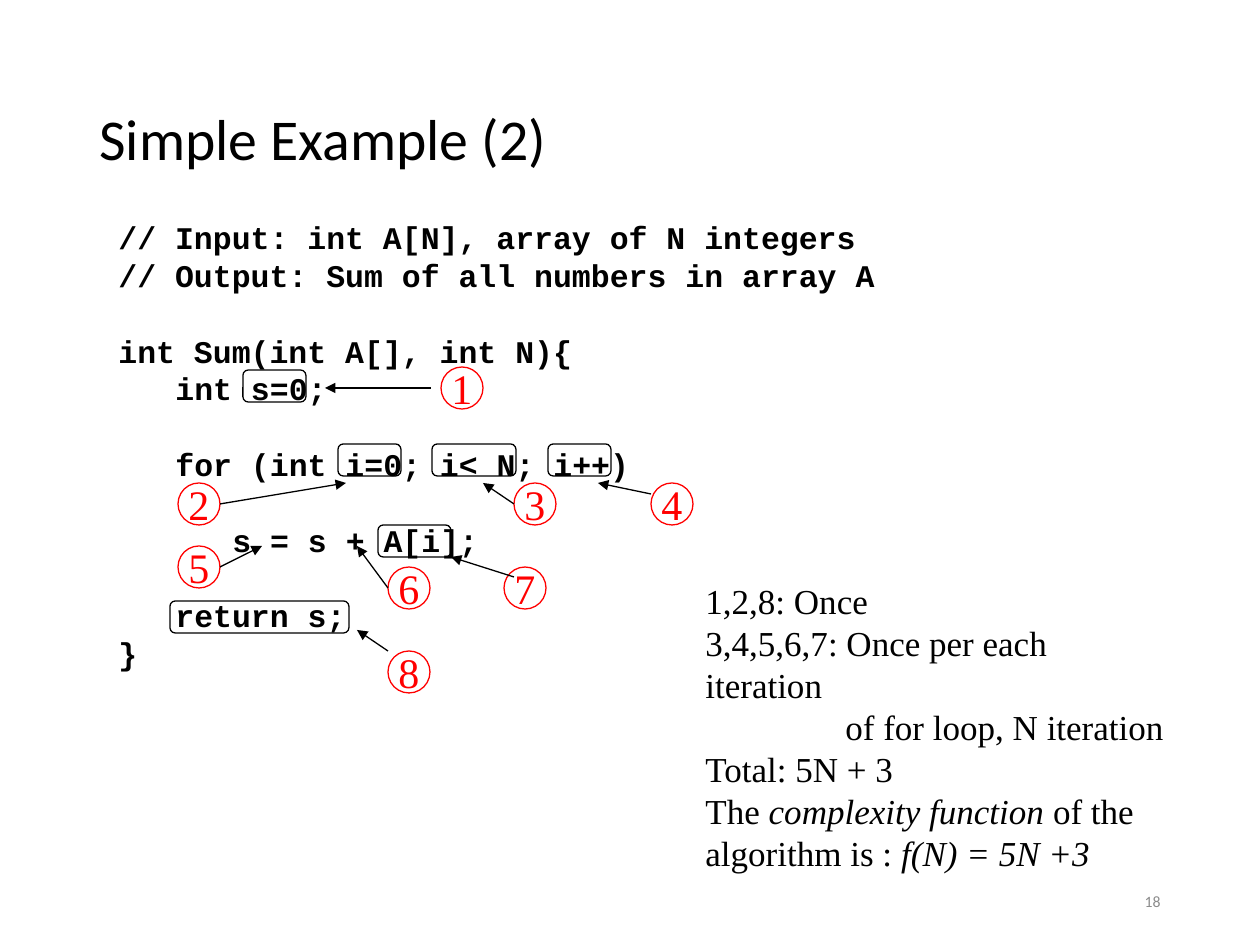
"""Build a slide that counts the basic operations of a summing loop."""

from dataclasses import dataclass

from lxml.etree import SubElement
from pptx import Presentation
from pptx.dml.color import RGBColor
from pptx.enum.shapes import MSO_CONNECTOR, MSO_SHAPE
from pptx.enum.text import MSO_ANCHOR, PP_ALIGN
from pptx.oxml.ns import qn
from pptx.util import Pt

PX = 914400 // 126


@dataclass(frozen=True)
class Style:
    font: str
    size: int
    color: RGBColor
    bold: bool = False


class Theme:
    ink = RGBColor(0, 0, 0)
    accent = RGBColor(255, 0, 0)
    line = Pt(0.75)
    title = Style("Calibri", 33, ink)
    code = Style("Courier New", 18, ink, True)
    notes = Style("Times New Roman", 20, ink)
    badge = Style("Times New Roman", 24, accent)
    page = Style("Calibri", 9, RGBColor(0x8C, 0x8C, 0x8C))
    leading = 1.2


TITLE = "Simple Example (2)"
PAGE = "18"

# (indent in characters, blank lines above, text)
CODE = [
    (0, 0, "// Input: int A[N], array of N integers"),
    (0, 0, "// Output: Sum of all numbers in array A"),
    (0, 1, "int Sum(int A[], int N){"),
    (3, 0, "int s=0;"),
    (3, 1, "for (int i=0; i< N; i++)"),
    (6, 1, "s = s + A[i];"),
    (3, 1, "return s;"),
    (0, 0, "}"),
]
CODE_CHAR = 19

NOTES = [
    (0, [("1,2,8: Once", False)]),
    (0, [("3,4,5,6,7: Once per each iteration", False)]),
    (140, [("of for loop, N iteration", False)]),
    (0, [("Total: 5N + 3", False)]),
    (0, [("The ", False), ("complexity function", True), (" of the", False)]),
    (0, [("algorithm is : ", False), ("f(N) = 5N +3", True)]),
]

FRAME_HEIGHT = 32
FRAMES = [
    (170, 601, 179),
    (243, 370, 63),
    (338, 444, 63),
    (378, 525, 73),
    (432, 444, 84),
    (548, 444, 63),
]

BADGE_SIZE = 42
CALLOUTS = [
    ((441, 367), (431, 388), (325, 388)),
    ((178, 483), (220, 504), (346, 483)),
    ((514, 483), (514, 504), (483, 483)),
    ((651, 483), (651, 494), (598, 483)),
    ((178, 546), (220, 567), (262, 546)),
    ((388, 567), (388, 588), (357, 546)),
    ((504, 567), (514, 577), (451, 557)),
    ((388, 651), (388, 651), (357, 630)),
]


def px(*lengths):
    return [length * PX for length in lengths]


def add_run(paragraph, text, style, italic=False):
    run = paragraph.add_run()
    run.text = text
    run.font.name = style.font
    run.font.size = Pt(style.size)
    run.font.bold = style.bold
    run.font.italic = italic
    run.font.color.rgb = style.color


def add_text(slide, box, paragraphs, style, anchor=MSO_ANCHOR.TOP,
             align=PP_ALIGN.LEFT, spacing=None, wrap=True):
    frame = slide.shapes.add_textbox(*px(*box)).text_frame
    frame.word_wrap = wrap
    frame.vertical_anchor = anchor
    for index, (indent, above, runs) in enumerate(paragraphs):
        paragraph = frame.add_paragraph() if index else frame.paragraphs[0]
        paragraph.alignment = align
        paragraph.line_spacing = spacing
        paragraph.space_before = Pt(above)
        if indent:
            paragraph._p.get_or_add_pPr().set("marL", str(indent * PX))
        for text, italic in runs:
            add_run(paragraph, text, style, italic)


def add_outline(slide, preset, box, color):
    outline = slide.shapes.add_shape(preset, *px(*box))
    outline.shadow.inherit = False
    outline.fill.background()
    outline.line.color.rgb = color
    outline.line.width = Theme.line
    return outline


def add_badge(slide, number, corner):
    box = (*corner, BADGE_SIZE, BADGE_SIZE)
    badge = add_outline(slide, MSO_SHAPE.OVAL, box, Theme.accent)
    frame = badge.text_frame
    frame.word_wrap = False
    frame.vertical_anchor = MSO_ANCHOR.MIDDLE
    frame.paragraphs[0].alignment = PP_ALIGN.CENTER
    add_run(frame.paragraphs[0], str(number), Theme.badge)


def add_arrow(slide, start, end):
    arrow = slide.shapes.add_connector(MSO_CONNECTOR.STRAIGHT, *px(*start, *end))
    arrow.line.color.rgb = Theme.ink
    arrow.line.width = Theme.line
    SubElement(arrow.line._get_or_add_ln(), qn("a:tailEnd"), type="triangle")
    SubElement(arrow._element.spPr, qn("a:effectLst"))


def main():
    deck = Presentation()
    deck.slide_width, deck.slide_height = px(1260, 945)
    slide = deck.slides.add_slide(deck.slide_layouts[6])

    add_text(slide, (87, 50, 1086, 183), [(0, 0, [(TITLE, False)])],
             Theme.title, MSO_ANCHOR.MIDDLE, spacing=0.9)

    code_line = Theme.code.size * Theme.leading
    code = [(indent * CODE_CHAR, blanks * code_line, [(text, False)])
            for indent, blanks, text in CODE]
    add_text(slide, (106, 212, 785, 509), code, Theme.code,
             spacing=Pt(code_line), wrap=False)

    for left, top, width in FRAMES:
        add_outline(slide, MSO_SHAPE.ROUNDED_RECTANGLE,
                    (left, top, width, FRAME_HEIGHT), Theme.ink)
    for number, (corner, start, end) in enumerate(CALLOUTS, 1):
        add_badge(slide, number, corner)
        add_arrow(slide, start, end)

    notes = [(indent, 0, runs) for indent, runs in NOTES]
    add_text(slide, (693, 573, 488, 265), notes, Theme.notes,
             spacing=Pt(Theme.notes.size * Theme.leading))
    add_text(slide, (890, 876, 283, 50), [(0, 0, [(PAGE, False)])],
             Theme.page, MSO_ANCHOR.MIDDLE, PP_ALIGN.RIGHT)
    deck.save("out.pptx")


if __name__ == "__main__":
    main()
